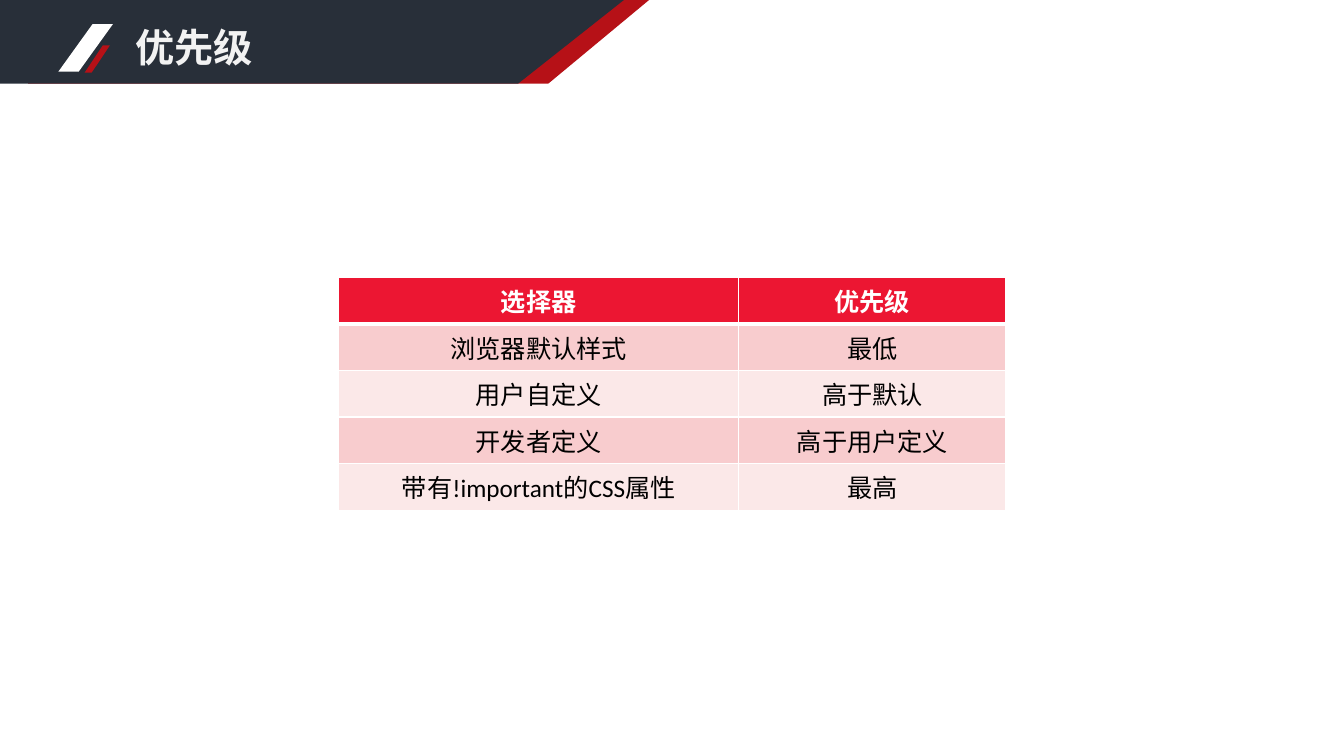
from typing import Any, NamedTuple

from lxml import etree
from pptx import Presentation
from pptx.dml.color import RGBColor
from pptx.enum.shapes import MSO_SHAPE
from pptx.enum.text import MSO_ANCHOR, MSO_AUTO_SIZE, PP_ALIGN
from pptx.oxml.ns import qn
from pptx.util import Emu, Inches, Pt

SLANT = MSO_SHAPE.PARALLELOGRAM
LEFT, CENTER = PP_ALIGN.LEFT, PP_ALIGN.CENTER
TOP, NO_FIT = MSO_ANCHOR.TOP, MSO_AUTO_SIZE.NONE

WHITE = RGBColor(0xFF, 0xFF, 0xFF)
BLACK = RGBColor(0x00, 0x00, 0x00)
PALE = RGBColor(0xF2, 0xF2, 0xF2)
NAVY = RGBColor(0x28, 0x2F, 0x39)
CRIMSON = RGBColor(0xB6, 0x11, 0x17)
RED = RGBColor(0xEC, 0x16, 0x32)
ROSE = RGBColor(0xF8, 0xCC, 0xCE)
BLUSH = RGBColor(0xFB, 0xE8, 0xE8)

SANS = "Noto Sans CJK SC"
UNIT = Inches(0.1)  # side of one grid square
COLS, ROWS = 133.33, 75
BAR_ROWS = 8.3


class Bar(NamedTuple):
    left: float
    top_end: float
    low_end: float
    color: RGBColor


class Mark(NamedTuple):
    col: float
    row: float
    wide: float
    tall: float
    color: RGBColor


BARS = [Bar(2.8, 64.4, 54.4, CRIMSON), Bar(0, 61.9, 51.4, NAVY)]
MARKS = [Mark(5.8, 2.4, 5.4, 4.7, WHITE), Mark(8.4, 4.5, 2.5, 2.7, CRIMSON)]
WIDTHS = [39.7, 26.5]
ROW_TALL = 4
RANKS = [
    ("选择器", "优先级"),
    ("浏览器默认样式", "最低"),
    ("用户自定义", "高于默认"),
    ("开发者定义", "高于用户定义"),
    ("带有!important的CSS属性", "最高"),
]
TITLE_FONT = {"name": SANS, "size": Pt(28), "bold": True}
CELL_FONT = {"name": "Calibri", "size": Pt(18)}


def grid(count: float) -> Emu:
    return Emu(round(count * UNIT))


def paint(shape: Any, color: RGBColor) -> None:
    shape.shadow.inherit = False
    shape.fill.solid()
    shape.fill.fore_color.rgb = color
    shape.line.fill.background()


def draw_bar(shapes: Any, bar: Bar) -> None:
    pen = shapes.build_freeform(grid(bar.left), 0)
    ends = [(bar.top_end, 0), (bar.low_end, BAR_ROWS), (bar.left, BAR_ROWS)]
    pen.add_line_segments([(grid(x), grid(y)) for x, y in ends], close=True)
    paint(pen.convert_to_shape(), bar.color)


def draw_mark(shapes: Any, mark: Mark) -> None:
    shape = shapes.add_shape(SLANT, *map(grid, mark[:4]))
    shape.adjustments[0] = 0.72
    paint(shape, mark.color)


def write(frame: Any, text: str, style: dict[str, Any], color: RGBColor,
          align: Any) -> None:
    """Set one line of text, with the same sans font for Chinese glyphs."""
    para = frame.paragraphs[0]
    para.alignment = align
    run = para.add_run()
    run.text = text
    for name, value in style.items():
        setattr(run.font, name, value)
    run.font.color.rgb = color
    etree.SubElement(run.font._element, qn("a:ea"), typeface=SANS)


def edge(cell: Any, side: str, points: float) -> None:
    line = etree.SubElement(cell._tc.get_or_add_tcPr(), qn(f"a:ln{side}"),
                            w=str(Pt(points)))
    fill = etree.SubElement(line, qn("a:solidFill"))
    etree.SubElement(fill, qn("a:srgbClr"), val=str(WHITE))


def draw_title(title: Any, text: str) -> None:
    box = {"left": 12.4, "top": 1.8, "width": 40.5, "height": 5.7}
    for name, value in box.items():
        setattr(title, name, grid(value))
    frame = title.text_frame
    frame.auto_size = NO_FIT
    frame.vertical_anchor = TOP
    write(frame, text, TITLE_FONT, PALE, LEFT)
    title.element.getparent().append(title.element)  # in front of the bars


def draw_table(shapes: Any) -> None:
    table = shapes.add_table(
        len(RANKS), len(WIDTHS), grid(33.6), grid(27.5),
        grid(sum(WIDTHS)), grid(ROW_TALL * len(RANKS))).table
    for column, wide in zip(table.columns, WIDTHS):
        column.width = grid(wide)
    for r, texts in enumerate(RANKS):
        head = r == 0
        back = RED if head else (BLUSH, ROSE)[r % 2]
        widths = {"L": 1, "R": 1, "T": 3 if r == 1 else 1, "B": 3 if head else 1}
        for c, text in enumerate(texts):
            cell = table.cell(r, c)
            for side, points in widths.items():
                edge(cell, side, points)
            cell.fill.solid()
            cell.fill.fore_color.rgb = back
            write(cell.text_frame, text, CELL_FONT | {"bold": head},
                  WHITE if head else BLACK, CENTER)


def main() -> None:
    deck = Presentation()
    deck.slide_width, deck.slide_height = grid(COLS), grid(ROWS)
    shapes = deck.slides.add_slide(deck.slide_layouts[5]).shapes
    for bar in BARS:
        draw_bar(shapes, bar)
    for mark in MARKS:
        draw_mark(shapes, mark)
    draw_title(shapes.title, "优先级")
    draw_table(shapes)
    deck.save("out.pptx")


if __name__ == "__main__":
    main()
